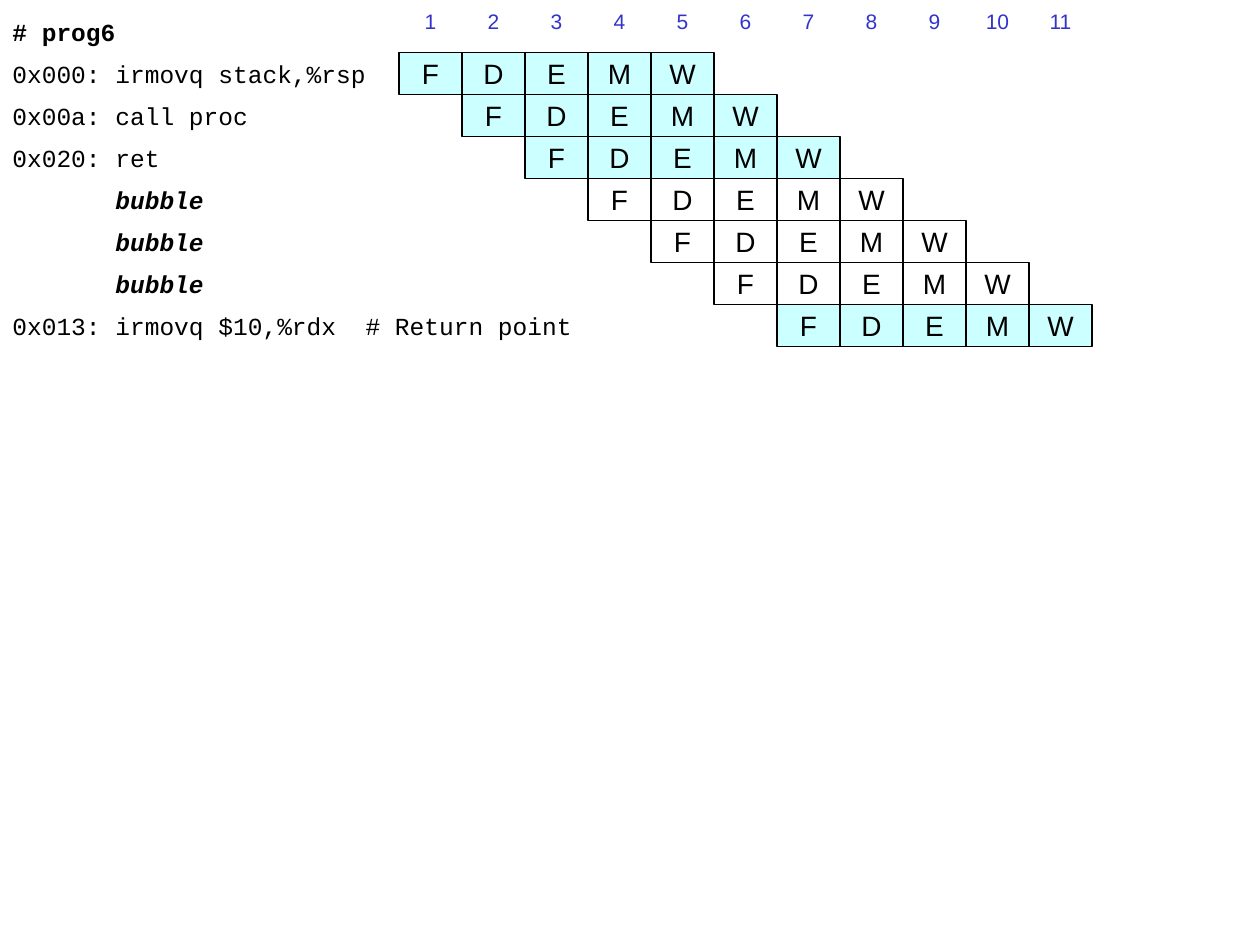
"""Build the pipeline stage diagram for prog6."""
from pptx import Presentation, util as u
from pptx.dml.color import RGBColor
from pptx.enum import shapes, text

PX = 9525
THEME = {
    "ink": "000000", "cycle": "3333CC", "paper": "FFFFFF", "active": "CCFFFF",
    "sans": "Arial", "mono": "Courier New",
    "code_size": 14, "cycle_size": 12, "stage_size": 16,
}
CELL_W, ROW_H, CODE_W = 48, 32, 272
GRID_X, CODE_Y = 304, 8
STAGES = "FDEMW"
CYCLES = 11
INSTRUCTIONS = [
    "0x000: irmovq stack,%rsp",
    "0x00a: call proc",
    "0x020: ret",
    "       bubble",
    "       bubble",
    "       bubble",
    "0x013: irmovq $10,%rdx  # Return point",
]

prs = Presentation()
prs.slide_width, prs.slide_height = 960 * PX, 720 * PX
s = prs.slides.add_slide(prs.slide_layouts[6])


def add_box(label, x, y, w, size, font=THEME["sans"], color=THEME["ink"],
            fill=THEME["paper"], line=None, align=text.PP_ALIGN.CENTER,
            bold=False, italic=False):
    sp = s.shapes.add_shape(shapes.MSO_SHAPE.RECTANGLE, x * PX, y * PX, w * PX, ROW_H * PX)
    sp.shadow.inherit = False
    sp.fill.solid()
    sp.fill.fore_color.rgb = RGBColor.from_string(fill)
    if line:
        sp.line.color.rgb = RGBColor.from_string(line)
        sp.line.width = u.Pt(1)
    else:
        sp.line.fill.background()
    tf = sp.text_frame
    tf.word_wrap = False
    tf.vertical_anchor = text.MSO_ANCHOR.MIDDLE
    p = tf.paragraphs[0]
    p.alignment = align
    r = p.add_run()
    r.text = label
    r.font.name, r.font.size = font, u.Pt(size)
    r.font.bold, r.font.italic = bold, italic
    r.font.color.rgb = RGBColor.from_string(color)


for cycle in range(CYCLES):
    add_box(str(cycle + 1), GRID_X + cycle * CELL_W, 0, CELL_W,
            THEME["cycle_size"], color=THEME["cycle"])

for row, code in enumerate(["# prog6"] + INSTRUCTIONS):
    bubble = "bubble" in code
    add_box(code, 0, CODE_Y + row * ROW_H, CODE_W, THEME["code_size"],
            font=THEME["mono"], align=text.PP_ALIGN.LEFT,
            bold=bubble or row == 0, italic=bubble)

for row, code in enumerate(INSTRUCTIONS):
    fill = THEME["paper"] if "bubble" in code else THEME["active"]
    for col, stage in enumerate(STAGES, start=row):
        add_box(stage, GRID_X + col * CELL_W, CODE_Y + (row + 1) * ROW_H, CELL_W,
                THEME["stage_size"], fill=fill, line=THEME["ink"])

prs.save("out.pptx")
